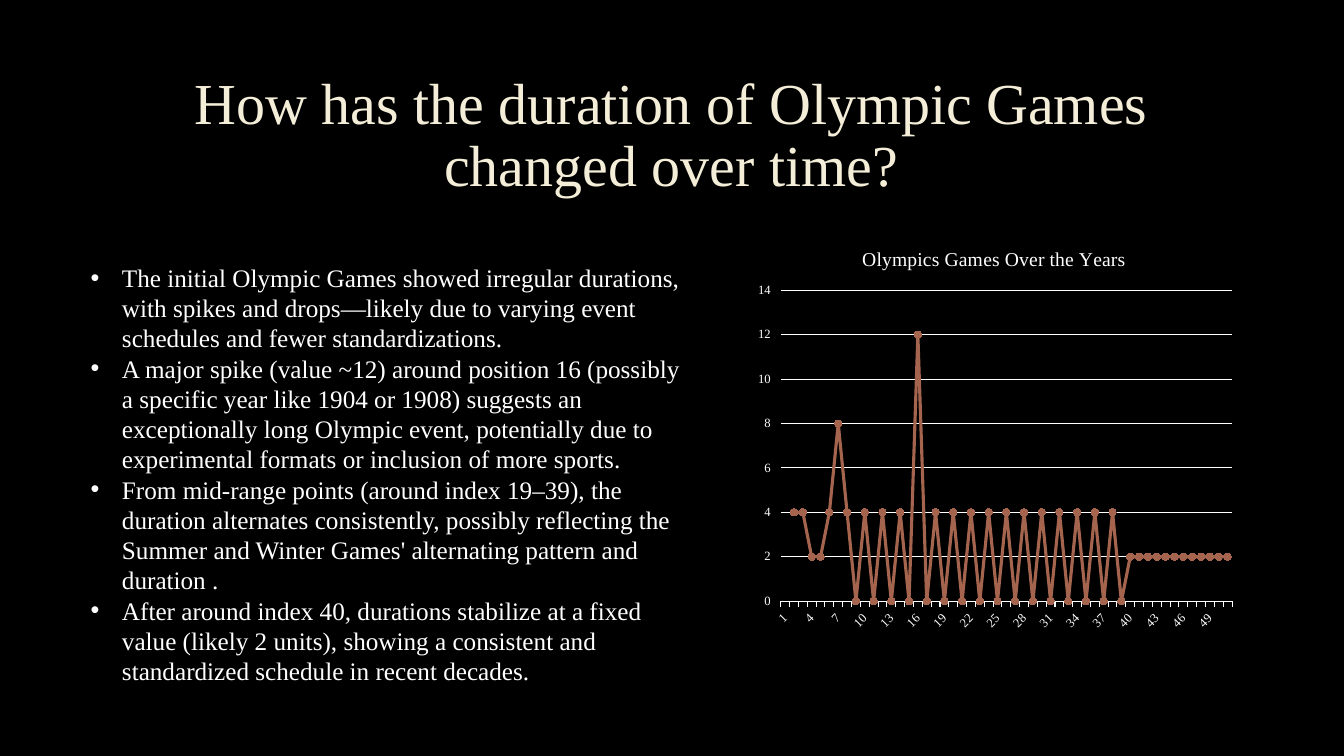
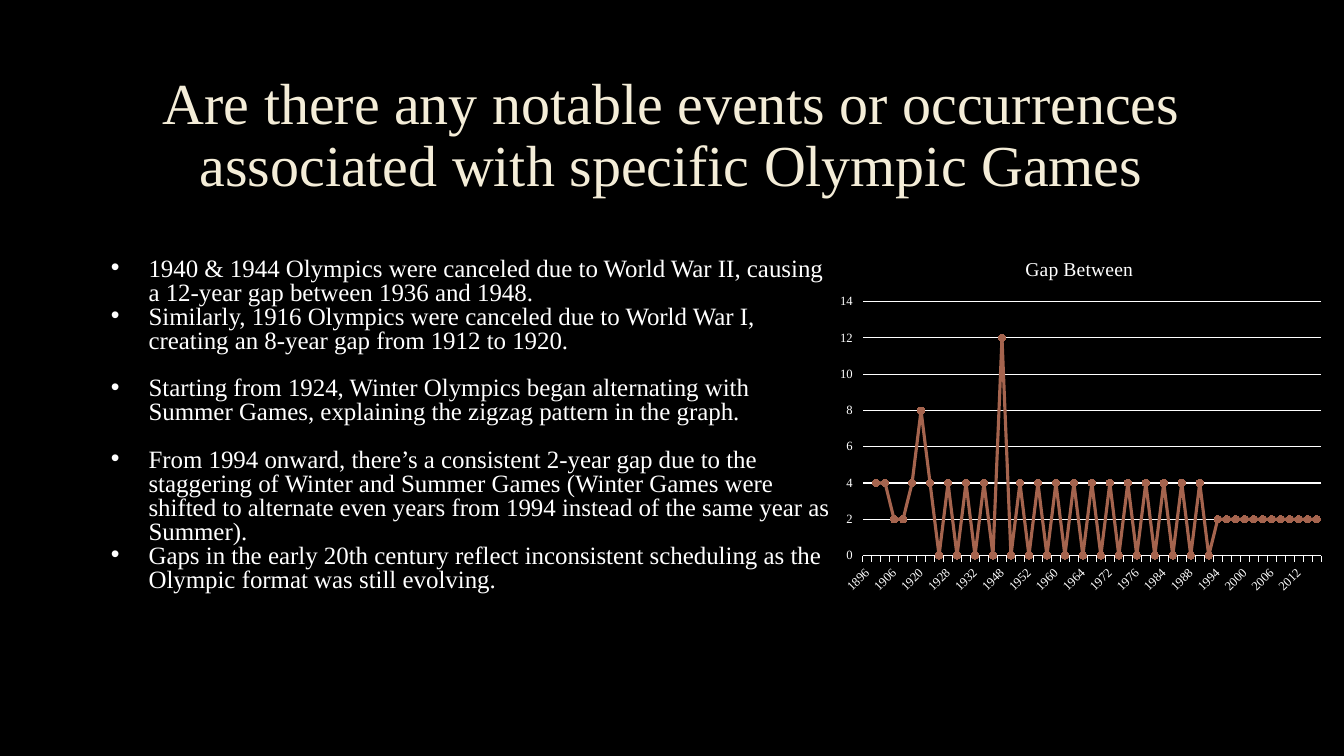
from lxml import etree
from pptx import Presentation
from pptx.chart.data import CategoryChartData
from pptx.dml.color import RGBColor
from pptx.enum.chart import XL_CHART_TYPE, XL_MARKER_STYLE, XL_TICK_MARK
from pptx.enum.text import MSO_ANCHOR, MSO_AUTO_SIZE, PP_ALIGN
from pptx.oxml import parse_xml
from pptx.oxml.ns import nsdecls, qn
from pptx.util import Cm, Pt

LINE_MARKERS = XL_CHART_TYPE.LINE_MARKERS
CIRCLE = XL_MARKER_STYLE.CIRCLE
TICK_OUTSIDE = XL_TICK_MARK.OUTSIDE
TICK_NONE = XL_TICK_MARK.NONE
MIDDLE, TOP = MSO_ANCHOR.MIDDLE, MSO_ANCHOR.TOP
NO_AUTOFIT = MSO_AUTO_SIZE.NONE
CENTER, LEFT = PP_ALIGN.CENTER, PP_ALIGN.LEFT

BLACK = RGBColor(0x00, 0x00, 0x00)
WHITE = RGBColor(0xFF, 0xFF, 0xFF)
CREAM = RGBColor(0xF4, 0xED, 0xD8)
RUST = RGBColor(0xA5, 0x64, 0x4E)
OUTLINE = RGBColor(0x40, 0x40, 0x40)
FONT = "Times New Roman"
TITLE_BOX = (2.54, 1.7, 28.75, 3.5)

GAPS = [None, 4, 4, 2, 2, 4, 8] + [4, 0] * 4 + [12, 0] + [4, 0] * 11 + [2] * 12
POSITIONS = range(1, len(GAPS) + 1)
PAIRED_YEARS = [*range(1924, 1937, 4), *range(1948, 1993, 4)]
YEARS = (
    [1896, 1900, 1904, 1906, 1908, 1912, 1920]
    + [year for year in PAIRED_YEARS for _ in range(2)]
    + list(range(1994, 2017, 2))
)

DURATION_POINTS = [
    ("The initial Olympic Games showed irregular durations, with spikes and drops"
     "—likely due to varying event schedules and fewer standardizations.", 0),
    ("A major spike (value ~12) around position 16 (possibly a specific year like "
     "1904 or 1908) suggests an exceptionally long Olympic event, potentially due "
     "to experimental formats or inclusion of more sports.", 0),
    ("From mid-range points (around index 19–39), the duration alternates "
     "consistently, possibly reflecting the Summer and Winter Games' alternating "
     "pattern and duration .", 0),
    ("After around index 40, durations stabilize at a fixed value (likely 2 units), "
     "showing a consistent and standardized schedule in recent decades.", 0),
]
EVENT_POINTS = [
    ("1940 & 1944 Olympics were canceled due to World War II, causing a 12-year gap "
     "between 1936 and 1948.", 0),
    ("Similarly, 1916 Olympics were canceled due to World War I, creating an 8-year "
     "gap from 1912 to 1920.", 0),
    ("Starting from 1924, Winter Olympics began alternating with Summer Games, "
     "explaining the zigzag pattern in the graph.", 17),
    ("From 1994 onward, there’s a consistent 2-year gap due to the staggering of "
     "Winter and Summer Games (Winter Games were shifted to alternate even years "
     "from 1994 instead of the same year as Summer).", 17),
    ("Gaps in the early 20th century reflect inconsistent scheduling as the Olympic "
     "format was still evolving.", 0),
]


def style_font(font, size, color):
    """Apply the deck typeface with a size and colour."""
    font.name = FONT
    font.size = Pt(size)
    font.bold = False
    font.color.rgb = color


def place(placeholder, box, anchor):
    """Move a placeholder to a box in centimetres and return its text frame."""
    placeholder.left, placeholder.top, placeholder.width, placeholder.height = map(Cm, box)
    frame = placeholder.text_frame
    frame.word_wrap = True
    frame.auto_size = NO_AUTOFIT
    frame.vertical_anchor = anchor
    return frame


def add_title(slide, text):
    """Fill the title placeholder with cream, faintly outlined text."""
    frame = place(slide.shapes.title, TITLE_BOX, MIDDLE)
    frame.text = text
    heading = frame.paragraphs[0]
    heading.alignment = CENTER
    heading.line_spacing = 0.9
    run = heading.runs[0]
    style_font(run.font, 41.4, CREAM)
    run.font._element.insert(0, parse_xml(
        f'<a:ln {nsdecls("a")} w="9525"><a:solidFill><a:srgbClr val="{OUTLINE}">'
        '<a:alpha val="10000"/></a:srgbClr></a:solidFill></a:ln>'))


def set_bullet(paragraph, indent):
    """Give a paragraph a white round bullet with a hanging indent."""
    properties = paragraph._p.get_or_add_pPr()
    properties.set("marL", str(Cm(indent)))
    properties.set("indent", str(-Cm(indent)))
    color = etree.SubElement(properties, qn("a:buClr"))
    etree.SubElement(color, qn("a:srgbClr"), val=str(WHITE))
    etree.SubElement(properties, qn("a:buFont"), typeface="Arial")
    etree.SubElement(properties, qn("a:buChar"), char="•")


def add_bullets(slide, points, box, size, indent, line_spacing):
    """Fill the body placeholder with (text, space before) points."""
    frame = place(slide.placeholders[1], box, TOP)
    frame.text = "\n".join(text for text, _ in points)
    for paragraph, (_, space_before) in zip(frame.paragraphs, points):
        paragraph.alignment = LEFT
        paragraph.line_spacing = line_spacing
        paragraph.space_before = Pt(space_before)
        paragraph.space_after = Pt(0)
        set_bullet(paragraph, indent)
        style_font(paragraph.runs[0].font, size, WHITE)


def style_axes(chart):
    """Set white labels, gridlines and slanted category labels."""
    categories, values = chart.category_axis, chart.value_axis
    for axis in (categories, values):
        style_font(axis.tick_labels.font, 9, WHITE)
        axis.minor_tick_mark = TICK_NONE
    categories.major_tick_mark = TICK_OUTSIDE
    categories.format.line.color.rgb = WHITE
    categories.format.line.width = Pt(0.75)
    category_xml = categories._element
    category_xml.find(f'{qn("c:txPr")}/{qn("a:bodyPr")}').set("rot", "-2700000")
    category_xml.find(qn("c:noMultiLvlLbl")).addprevious(
        parse_xml(f'<c:tickLblSkip {nsdecls("c")} val="3"/>'))

    values.minimum_scale, values.maximum_scale, values.major_unit = 0, 14, 2
    values.major_tick_mark = TICK_OUTSIDE
    values.format.line.fill.background()
    values.has_major_gridlines = True
    gridline = values.major_gridlines.format.line
    gridline.color.rgb = WHITE
    gridline.width = Pt(0.75)


def set_plot_area(chart, top, height):
    """Fix the inner plot area as fractions of the chart."""
    plot_area = chart._chartSpace.chart.plotArea
    for old_layout in plot_area.findall(qn("c:layout")):
        plot_area.remove(old_layout)
    parts = {"x": 0.07, "y": top, "w": 0.91, "h": height}
    modes = '<c:xMode val="edge"/><c:yMode val="edge"/>'
    sizes = "".join(f'<c:{key} val="{value}"/>' for key, value in parts.items())
    plot_area.insert(0, parse_xml(
        f'<c:layout {nsdecls("c")}><c:manualLayout><c:layoutTarget val="inner"/>'
        f'{modes}{sizes}</c:manualLayout></c:layout>'))


def add_gap_chart(slide, title, series_name, categories, box, plot_top, plot_height):
    """Add the line chart of gaps between Games."""
    data = CategoryChartData()
    data.categories = [str(category) for category in categories]
    data.add_series(series_name, GAPS)
    chart = slide.shapes.add_chart(LINE_MARKERS, *map(Cm, box), data).chart
    style_font(chart.font, 10, WHITE)
    chart.has_legend = False
    chart.has_title = True
    chart.chart_title.include_in_layout = False
    heading = chart.chart_title.text_frame
    heading.text = title
    style_font(heading.paragraphs[0].runs[0].font, 14, WHITE)
    style_axes(chart)
    set_plot_area(chart, plot_top, plot_height)

    plot = chart.plots[0]
    plot.vary_by_categories = False
    gaps = plot.series[0]
    gaps.smooth = False
    gaps.format.line.color.rgb = RUST
    gaps.format.line.width = Pt(2.25)
    gaps.marker.style = CIRCLE
    gaps.marker.size = 5
    gaps.marker.format.fill.solid()
    gaps.marker.format.fill.fore_color.rgb = RUST
    gaps.marker.format.line.color.rgb = RUST


def main():
    """Build both slides and save the deck."""
    deck = Presentation()
    deck.slide_width, deck.slide_height = Cm(33.87), Cm(19.05)
    background = deck.slide_master.background.fill
    background.solid()
    background.fore_color.rgb = BLACK
    layout = deck.slide_layouts[1]

    duration = deck.slides.add_slide(layout)
    add_title(duration, "How has the duration of Olympic Games changed over time?")
    add_bullets(duration, DURATION_POINTS, (2.03, 6.48, 15.8, 11.02), 18, 0.79, 1.0)
    add_gap_chart(duration, "Olympics Games Over the Years", "Series 1", POSITIONS,
                  (18.8, 5.77, 12.5, 10.31), 0.15, 0.76)

    events = deck.slides.add_slide(layout)
    add_title(events, "Are there any notable events or occurrences associated with "
                      "specific Olympic Games")
    add_bullets(events, EVENT_POINTS, (2.54, 6.38, 18.85, 9.7), 17.8, 0.95, 0.8)
    add_gap_chart(events, "Gap Between", "Gap Between", YEARS,
                  (20.85, 6.05, 12.7, 9.14), 0.17, 0.7)

    deck.save("out.pptx")


if __name__ == "__main__":
    main()
